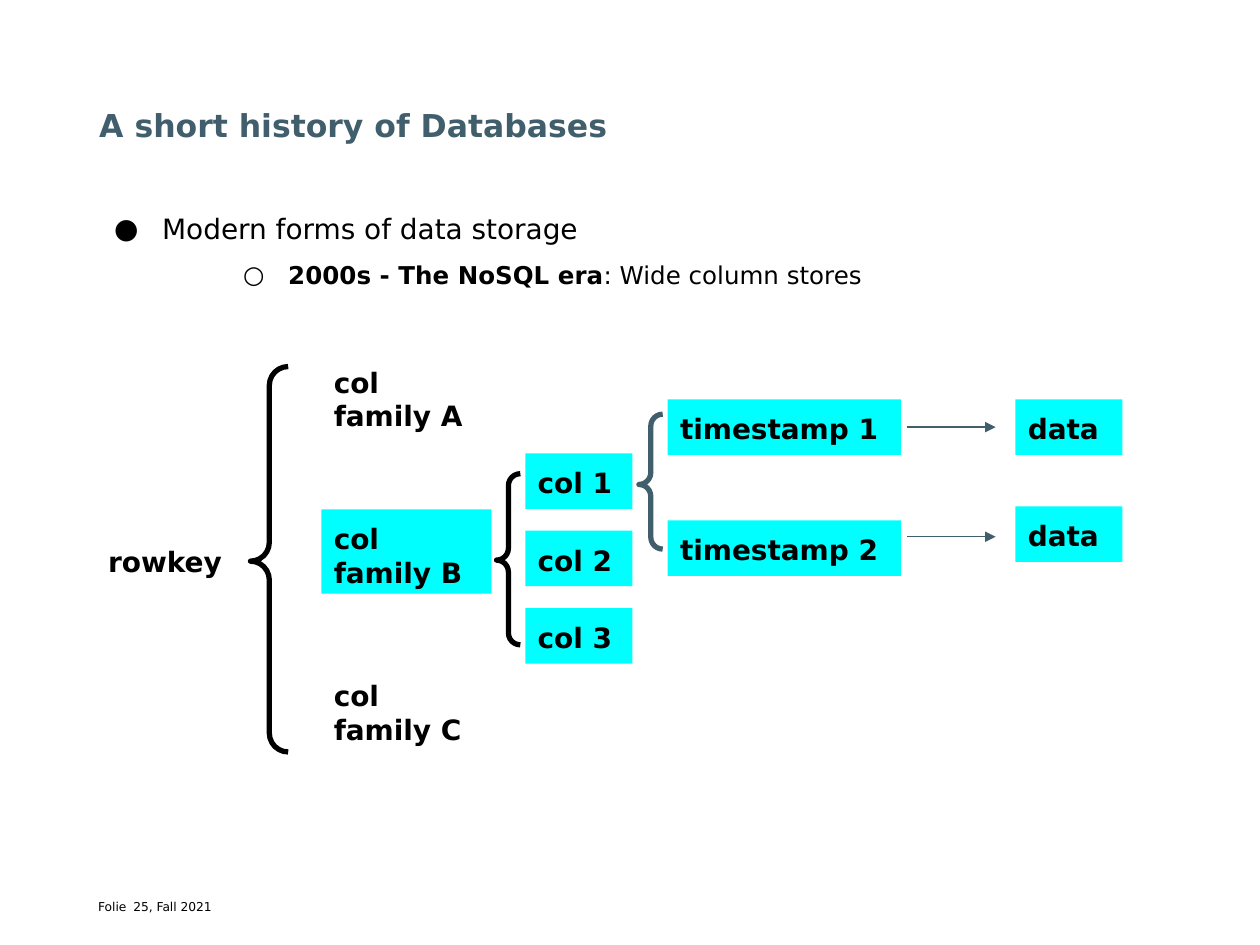
import lxml.etree
import pptx
import pptx.dml.color
import pptx.enum.dml
import pptx.enum.shapes
import pptx.enum.text
import pptx.oxml
import pptx.oxml.ns
import pptx.util

Cm = pptx.util.Cm
FONT = "DejaVu Sans"
BLACK, SLATE, CYAN = "000000", "415E6C", "00FFFF"
LABEL_HEIGHT = 1.12


def color(hex_text):
    """Turn a hex string into a colour."""
    return pptx.dml.color.RGBColor.from_string(hex_text)


def add_run(paragraph, text, size, hex_text=BLACK, bold=False):
    """Append one formatted run to a paragraph."""
    run = paragraph.add_run()
    run.text = text
    run.font.name = FONT
    run.font.size = pptx.util.Pt(size)
    run.font.bold = bold
    run.font.color.rgb = color(hex_text)


def place(shape, box):
    """Move and size a shape to a box in centimetres."""
    shape.left, shape.top, shape.width, shape.height = (Cm(value) for value in box)


def prepare_frame(shape, inset):
    """Clear a shape's text frame and return it, wrapped and top-anchored."""
    frame = shape.text_frame
    frame.word_wrap = True
    frame.auto_size = pptx.enum.text.MSO_AUTO_SIZE.NONE
    frame.vertical_anchor = pptx.enum.text.MSO_ANCHOR.TOP
    frame.margin_left = frame.margin_right = Cm(inset)
    frame.margin_top = frame.margin_bottom = Cm(inset)
    frame.paragraphs[0].alignment = pptx.enum.text.PP_ALIGN.LEFT
    return frame


def add_bullet(paragraph, character, margin, indent):
    """Give a paragraph a black bullet with a hanging indent."""
    properties = paragraph._p.get_or_add_pPr()
    properties.set("marL", str(Cm(margin)))
    properties.set("indent", str(Cm(indent)))
    namespace = pptx.oxml.ns.nsdecls("a")
    for markup in (
        f'<a:buClr {namespace}><a:srgbClr val="{BLACK}"/></a:buClr>',
        f'<a:buFont {namespace} typeface="{FONT}"/>',
        f'<a:buChar {namespace} char="{character}"/>',
    ):
        properties.append(pptx.oxml.parse_xml(markup))


def build_title(slide, box):
    """Fill the title placeholder."""
    place(slide.shapes.title, box)
    frame = prepare_frame(slide.shapes.title, 0.2)
    add_run(frame.paragraphs[0], "A short history of Databases", 18, SLATE, True)


def build_body(slide, box):
    """Fill the body placeholder with the two-level list."""
    body = slide.placeholders[1]
    place(body, box)
    frame = prepare_frame(body, 0.2)
    topic = frame.paragraphs[0]
    era = frame.add_paragraph()
    era.level = 1
    add_bullet(topic, "●", 1.27, -0.97)
    add_bullet(era, "○", 3.81, -0.91)
    for paragraph in (topic, era):
        paragraph.line_spacing = 1.5
        paragraph.space_before = pptx.util.Pt(0)
    add_run(topic, "Modern forms of data storage", 16)
    add_run(era, "2000s - The NoSQL era", 14, bold=True)
    add_run(era, ": Wide column stores", 14)


def build_footer(slide, box):
    """Add the footer word and the page number with the term."""
    left, top, width, height = box
    for text, offset in (("Folie", 0), ("25, Fall 2021", 0.71)):
        shape = slide.shapes.add_textbox(0, 0, 0, 0)
        place(shape, (left + offset, top, width - offset, height))
        add_run(prepare_frame(shape, 0.2).paragraphs[0], text, 7)


def add_label(slide, lines, box, fill=None):
    """Add a bold label, on a filled rectangle when a fill is given."""
    if fill:
        rectangle = pptx.enum.shapes.MSO_SHAPE.RECTANGLE
        shape = slide.shapes.add_shape(rectangle, 0, 0, 0, 0)
        shape.shadow.inherit = False
        shape.fill.solid()
        shape.fill.fore_color.rgb = color(fill)
        shape.line.fill.background()
    else:
        shape = slide.shapes.add_textbox(0, 0, 0, 0)
    place(shape, box)
    frame = prepare_frame(shape, 0.25)
    for index, line in enumerate(lines):
        paragraph = frame.add_paragraph() if index else frame.paragraphs[0]
        paragraph.alignment = pptx.enum.text.PP_ALIGN.LEFT
        add_run(paragraph, line, 16, bold=True)


def add_brace(slide, box, hex_text, middle):
    """Add a left brace whose tip sits at the given share of its height."""
    brace = slide.shapes.add_shape(pptx.enum.shapes.MSO_SHAPE.LEFT_BRACE, 0, 0, 0, 0)
    place(brace, box)
    brace.adjustments[0], brace.adjustments[1] = 0.5, middle
    brace.shadow.inherit = False
    brace.fill.background()
    brace.line.color.rgb = color(hex_text)
    brace.line.width = pptx.util.Pt(3)


def add_arrow(slide, start, end, y):
    """Add a thin horizontal arrow."""
    straight = pptx.enum.shapes.MSO_CONNECTOR.STRAIGHT
    arrow = slide.shapes.add_connector(straight, Cm(start), Cm(y), Cm(end), Cm(y))
    arrow.line.color.rgb = color(SLATE)
    arrow.line.width = pptx.util.Pt(0.75)
    tag = pptx.oxml.ns.qn
    lxml.etree.SubElement(arrow.line._get_or_add_ln(), tag("a:tailEnd"), type="triangle")
    lxml.etree.SubElement(arrow._element.spPr, tag("a:effectLst"))


def build_diagram(slide, box):
    """Draw the tree from the row key to the data."""
    left, top, width, height = box
    data_width = 2.16
    add_label(slide, ["rowkey"], (left, top + 3.61, 2.95, LABEL_HEIGHT))
    add_brace(slide, (left + 3.12, top + 0.28, 0.76, 7.77), BLACK, 0.505)
    for index, letter in enumerate("ABC"):
        family_box = (left + 4.55, top + 3.16 * index, 3.43, 1.7)
        fill = CYAN if letter == "B" else None
        add_label(slide, ["col", f"family {letter}"], family_box, fill)
    add_brace(slide, (left + 8.08, top + 2.44, 0.48, 3.45), BLACK, 0.505)
    for index in range(3):
        column_box = (left + 8.66, top + 2.03 + 1.56 * index, 2.16, LABEL_HEIGHT)
        add_label(slide, [f"col {index + 1}"], column_box, CYAN)
    add_brace(slide, (left + 10.95, top + 1.24, 0.48, 2.72), SLATE, 0.521)
    branches = ((0.94, 1.5, 0.94), (3.38, 3.71, 3.1))
    for number, (stamp_top, arrow_y, data_top) in enumerate(branches, 1):
        stamp_box = (left + 11.53, top + stamp_top, 4.7, LABEL_HEIGHT)
        add_label(slide, [f"timestamp {number}"], stamp_box, CYAN)
        add_arrow(slide, left + 16.36, left + 18.14, top + arrow_y)
        data_left = left + width - data_width
        data_box = (data_left, top + data_top, data_width, LABEL_HEIGHT)
        add_label(slide, ["data"], data_box, CYAN)


def main():
    """Build and save the slide."""
    presentation = pptx.Presentation()
    presentation.slide_width, presentation.slide_height = Cm(25.4), Cm(19.05)
    slide = presentation.slides.add_slide(presentation.slide_layouts[1])
    build_title(slide, (1.8, 1.93, 22.68, 1.35))
    build_body(slide, (1.8, 3.73, 22.68, 11.35))
    build_footer(slide, (1.78, 17.93, 23.24, 1.12))
    build_diagram(slide, (1.93, 7.11, 20.7, 8.05))
    presentation.save("out.pptx")


if __name__ == "__main__":
    main()
